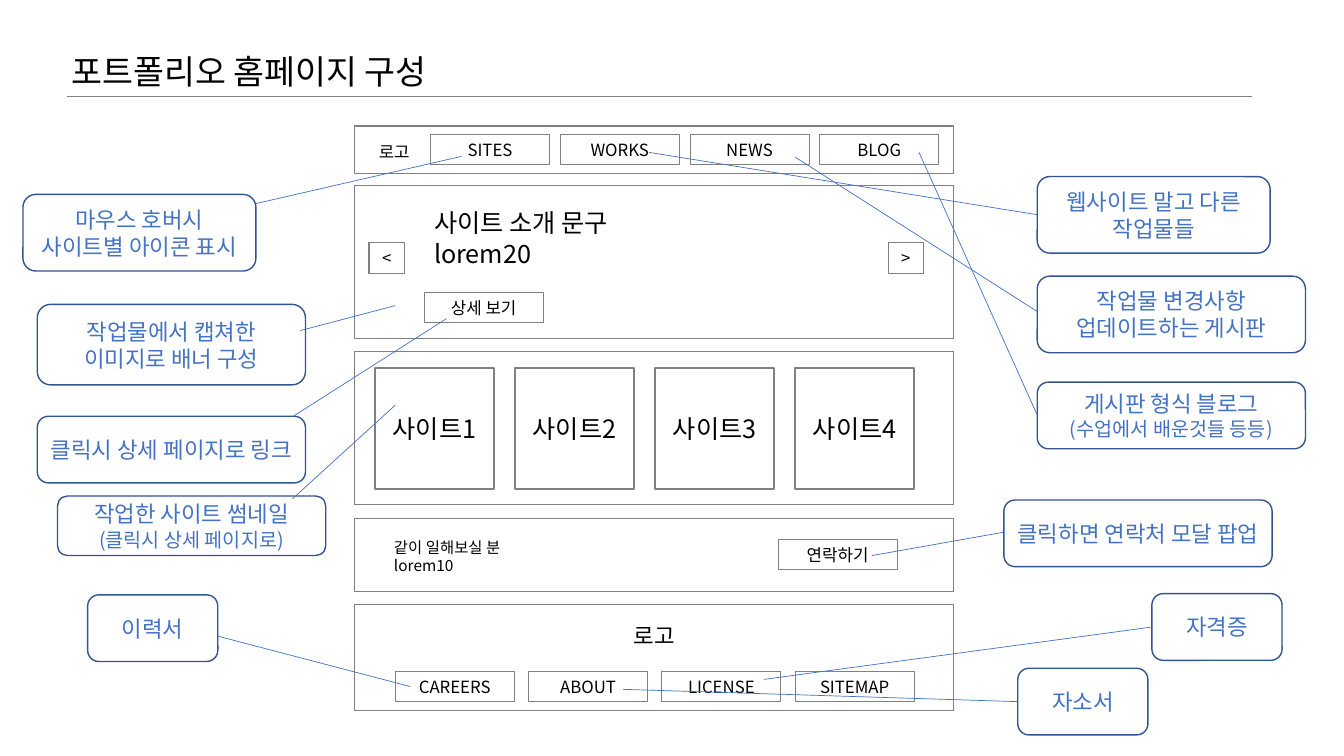
from dataclasses import dataclass

from lxml.etree import SubElement
from pptx import Presentation
from pptx.dml.color import RGBColor
from pptx.enum.shapes import MSO_CONNECTOR, MSO_SHAPE
from pptx.enum.text import MSO_ANCHOR, MSO_AUTO_SIZE, PP_ALIGN
from pptx.oxml.ns import qn
from pptx.util import Cm, Pt


@dataclass(frozen=True)
class Theme:
    font: str = "Noto Sans CJK KR"
    ink: RGBColor = RGBColor(0x00, 0x00, 0x00)
    frame: RGBColor = RGBColor(0x80, 0x80, 0x80)
    note: RGBColor = RGBColor(0x44, 0x72, 0xC4)
    note_border: RGBColor = RGBColor(0x32, 0x54, 0x91)
    title: int = 24
    heading: int = 18
    callout: int = 16
    callout_detail: int = 14
    button: int = 12
    small: int = 11
    thick: float = 1
    medium: float = 0.75
    thin: float = 0.5


theme = Theme()


def write_text(shape, text, size, color=theme.ink, align=PP_ALIGN.CENTER):
    frame = shape.text_frame
    frame.text = text
    frame.word_wrap = True
    frame.auto_size = MSO_AUTO_SIZE.NONE
    frame.vertical_anchor = MSO_ANCHOR.MIDDLE
    for paragraph in frame.paragraphs:
        paragraph.alignment = align
        for run in paragraph.runs:
            run.font.size = Pt(size)
            run.font.color.rgb = color
            run.font.name = theme.font
            east_asian = SubElement(run.font._element, qn("a:ea"))
            east_asian.set("typeface", theme.font)


def add_box(bounds, weight, color=theme.frame, kind=MSO_SHAPE.RECTANGLE):
    """Add an unfilled outline; bounds are left, top, width, height in cm."""
    box = slide.shapes.add_shape(kind, *map(Cm, bounds))
    box.shadow.inherit = False
    box.fill.background()
    box.line.color.rgb = color
    box.line.width = Pt(weight)
    return box


presentation = Presentation()
presentation.slide_width = Cm(33.87)
presentation.slide_height = Cm(19.05)
slide = presentation.slides.add_slide(presentation.slide_layouts[5])

title = slide.shapes.title
title.left, title.top, title.width, title.height = map(Cm, (1.55, 1.14, 14.8, 1.28))
write_text(title, "포트폴리오 홈페이지 구성", theme.title, align=PP_ALIGN.LEFT)

# Page sections: top and height
sections = [(3.18, 1.19), (4.67, 3.86), (8.86, 3.86), (13.06, 1.85), (15.24, 2.67)]
for top, height in sections:
    add_box((8.94, top, 15.09, height), theme.thick)

# Buttons: label, left, top, width
buttons = [
    ("상세 보기", 10.69, 7.37, 3),
    ("<", 9.3, 6.12, 0.89),
    (">", 22.38, 6.12, 0.89),
    ("연락하기", 19.61, 13.59, 3),
]
for column, label in enumerate(["SITES", "WORKS", "NEWS", "BLOG"]):
    buttons.append((label, 10.85 + 3.27 * column, 3.38, 3))
for column, label in enumerate(["CAREERS", "ABOUT", "LICENSE", "SITEMAP"]):
    buttons.append((label, 9.96 + 3.36 * column, 16.92, 3))
for label, left, top, width in buttons:
    button = add_box((left, top, width, 0.77), theme.medium)
    write_text(button, label, theme.button)

for column in range(4):
    card = add_box((9.45 + 3.53 * column, 9.27, 3, 3.05), theme.thick)
    write_text(card, f"사이트{column + 1}", theme.heading)

page_texts = [
    ("로고", (9.07, 3.43, 1.73, 0.77), theme.button, PP_ALIGN.CENTER),
    ("사이트 소개 문구\nlorem20", (10.69, 5.18, 9.91, 1.63), theme.heading, PP_ALIGN.LEFT),
    ("같이 일해보실 분\nlorem10", (9.68, 13.56, 9.3, 0.91), theme.small, PP_ALIGN.LEFT),
    ("로고", (15.34, 15.54, 2.29, 0.94), theme.callout, PP_ALIGN.CENTER),
]
for text, bounds, size, align in page_texts:
    text_box = slide.shapes.add_textbox(*map(Cm, bounds))
    write_text(text_box, text, size, align=align)

# Callouts: text, bounds, leader line from and to
callouts = [
    ("마우스 호버시 사이트별 아이콘 표시", (0.58, 4.9, 5.87, 1.93), (6.45, 5.13, 11.63, 3.94)),
    ("웹사이트 말고 다른 작업물들", (26.14, 4.45, 5.87, 1.93), (26.14, 5.41, 16.36, 3.84)),
    ("작업물 변경사항\n업데이트하는 게시판", (26.14, 6.96, 6.76, 1.93), (26.14, 7.85, 20.04, 3.96)),
    ("게시판 형식 블로그\n(수업에서 배운것들 등등)", (26.14, 9.63, 6.76, 1.68), (26.14, 10.46, 23.16, 3.84)),
    ("작업한 사이트 썸네일\n(클릭시 상세 페이지로)", (1.45, 12.5, 6.76, 1.5), (7.37, 12.57, 9.96, 10.21)),
    ("작업물에서 캡쳐한 이미지로 배너 구성", (0.94, 7.67, 6.76, 2.03), (7.57, 8.33, 9.96, 7.7)),
    ("클릭하면 연락처 모달 팝업", (25.3, 12.6, 6.76, 1.68), (25.3, 13.41, 21.97, 14)),
    ("이력서", (2.21, 14.99, 3.28, 1.68), (5.49, 16.03, 10.34, 17.3)),
    ("자소서", (25.65, 16.84, 3.28, 1.68), (25.65, 17.68, 15.7, 17.37)),
    ("자격증", (29.03, 14.96, 3.28, 1.68), (29.03, 15.8, 19.25, 17.12)),
    ("클릭시 상세 페이지로 링크", (0.94, 10.49, 6.76, 1.68), (7.39, 10.49, 11.25, 8.03)),
]
lines = [((1.7, 2.44, 31.55, 2.44), theme.frame)]
for text, bounds, leader in callouts:
    callout = add_box(bounds, theme.thick, theme.note_border, MSO_SHAPE.ROUNDED_RECTANGLE)
    write_text(callout, text, theme.callout, theme.note)
    for paragraph in callout.text_frame.paragraphs:
        if paragraph.text.startswith("("):
            paragraph.runs[0].font.size = Pt(theme.callout_detail)
    lines.append((leader, theme.note))

for ends, color in lines:
    line = slide.shapes.add_connector(MSO_CONNECTOR.STRAIGHT, *map(Cm, ends))
    line.line.color.rgb = color
    line.line.width = Pt(theme.thin)
    SubElement(line._element.spPr, qn("a:effectLst"))

presentation.save("out.pptx")
